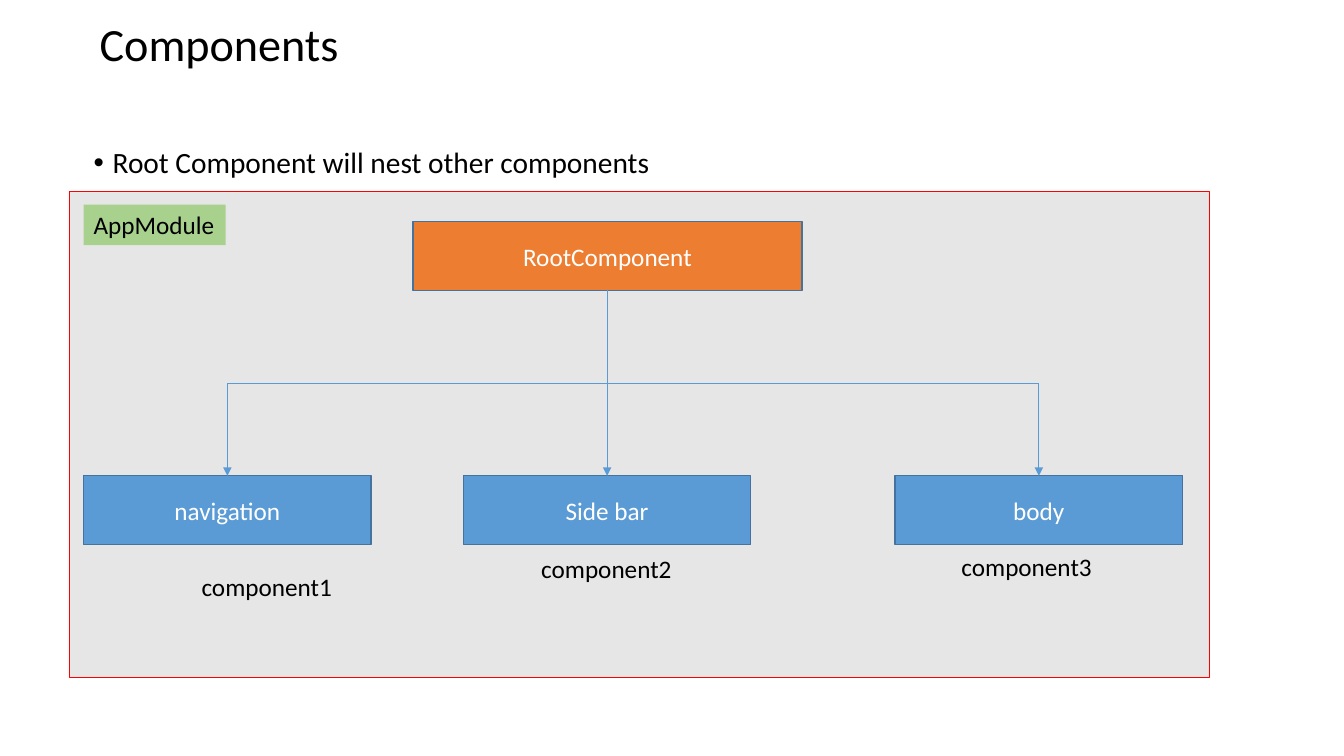
from dataclasses import dataclass

from lxml.etree import SubElement
from pptx import Presentation
from pptx.dml.color import RGBColor
from pptx.enum.shapes import MSO_CONNECTOR as Link, MSO_SHAPE as Preset
from pptx.enum.text import MSO_ANCHOR as Anchor, PP_ALIGN as Align
from pptx.oxml.ns import qn
from pptx.util import Cm, Pt


@dataclass(frozen=True)
class Theme:
    """Colours, font and type sizes of the slide."""
    font: str = "Calibri"
    title_size: float = 33
    bullet_size: float = 21
    label_size: float = 18
    ink: str = "000000"
    light: str = "FFFFFF"
    panel: str = "E7E6E6"
    panel_edge: str = "FF0000"
    root: str = "ED7D31"
    child: str = "5B9BD5"
    box_edge: str = "43739E"
    tag: str = "A9D18E"


THEME = Theme()
LEFT = 2.11
ROOT_LEFT, ROOT_TOP, ROOT_WIDTH = 10.41, 5.59, 9.8
CHILD_TOP, CHILD_WIDTH = 11.99, 7.24
BOX_HEIGHT = 1.73
LABEL_WIDTH, LABEL_HEIGHT = 3.84, 1.02

# child name, left of its box, caption, left and top of the caption
CHILDREN = [
    ("navigation", LEFT, "component1", 4.83, 14.27),
    ("Side bar", 11.68, "component2", 13.39, 13.82),
    ("body", 22.56, "component3", 23.98, 13.77),
]


def style(paragraph, size, colour):
    """Set the font of a whole paragraph."""
    paragraph.font.name = THEME.font
    paragraph.font.size = Pt(size)
    paragraph.font.color.rgb = RGBColor.from_string(colour)


def add_box(slide, left, top, width, height, fill, edge, text=""):
    """Add an outlined rectangle, with centred text if given."""
    box = slide.shapes.add_shape(Preset.RECTANGLE, Cm(left), Cm(top), Cm(width), Cm(height))
    box.shadow.inherit = False
    box.fill.solid()
    box.fill.fore_color.rgb = RGBColor.from_string(fill)
    box.line.color.rgb = RGBColor.from_string(edge)
    box.line.width = Pt(1)
    if text:
        box.text_frame.vertical_anchor = Anchor.MIDDLE
        paragraph = box.text_frame.paragraphs[0]
        paragraph.text = text
        paragraph.alignment = Align.CENTER
        style(paragraph, THEME.label_size, THEME.light)


def add_text(slide, left, top, width, height, text, size, wrap=True, fill=None):
    """Add a text box and return its paragraph."""
    area = slide.shapes.add_textbox(Cm(left), Cm(top), Cm(width), Cm(height))
    area.text_frame.word_wrap = wrap
    if fill:
        area.fill.solid()
        area.fill.fore_color.rgb = RGBColor.from_string(fill)
    paragraph = area.text_frame.paragraphs[0]
    paragraph.text = text
    style(paragraph, size, THEME.ink)
    return paragraph


def add_bullet(paragraph):
    """Give a paragraph a round bullet with a hanging indent."""
    properties = paragraph._p.get_or_add_pPr()
    properties.set("marL", str(Cm(0.48)))
    properties.set("indent", str(-Cm(0.48)))
    SubElement(properties, qn("a:buFont"), typeface="Arial")
    SubElement(properties, qn("a:buChar"), char="•")


def add_line(slide, start, end, arrow=False):
    """Add a straight line, with an arrowhead at its end if asked."""
    line = slide.shapes.add_connector(Link.STRAIGHT, *map(Cm, start + end))
    line.line.color.rgb = RGBColor.from_string(THEME.child)
    line.line.width = Pt(0.5)
    if arrow:
        SubElement(line.line._get_or_add_ln(), qn("a:tailEnd"), type="triangle")
    SubElement(line._element.spPr, qn("a:effectLst"))


def add_tree(slide):
    """Add the root, its children, their captions and the arrows."""
    add_box(slide, ROOT_LEFT, ROOT_TOP, ROOT_WIDTH, BOX_HEIGHT,
            THEME.root, THEME.box_edge, "RootComponent")
    for name, left, *_ in CHILDREN:
        add_box(slide, left, CHILD_TOP, CHILD_WIDTH, BOX_HEIGHT,
                THEME.child, THEME.box_edge, name)

    root_bottom = ROOT_TOP + BOX_HEIGHT
    branch = (root_bottom + CHILD_TOP) / 2
    first, middle, last = (left + CHILD_WIDTH / 2 for _, left, *_ in CHILDREN)
    add_line(slide, (middle, root_bottom), (middle, CHILD_TOP), arrow=True)
    add_line(slide, (first, branch), (last, branch))
    for centre in (first, last):
        add_line(slide, (centre, branch), (centre, CHILD_TOP), arrow=True)

    for _, _, caption, left, top in CHILDREN:
        add_text(slide, left, top, LABEL_WIDTH, LABEL_HEIGHT, caption,
                 THEME.label_size, wrap=False)


def main():
    """Build the slide and save it."""
    deck = Presentation()
    deck.slide_width, deck.slide_height = Cm(33.87), Cm(19.05)
    slide = deck.slides.add_slide(deck.slide_layouts[6])

    add_box(slide, 1.75, 4.83, 28.73, 12.24, THEME.panel, THEME.panel_edge)
    title = add_text(slide, 2.26, 0.43, 29.64, 2.54, "Components", THEME.title_size)
    title.line_spacing = 0.9
    point = add_text(slide, LEFT, 3.61, 29.64, 2.44,
                     "Root Component will nest other components", THEME.bullet_size)
    point.line_spacing = 0.9
    point.space_before = Pt(7.5)
    add_bullet(point)
    add_tree(slide)
    add_text(slide, LEFT, 5.16, 3.58, LABEL_HEIGHT, "AppModule",
             THEME.label_size, wrap=False, fill=THEME.tag)

    deck.save("out.pptx")


main()
